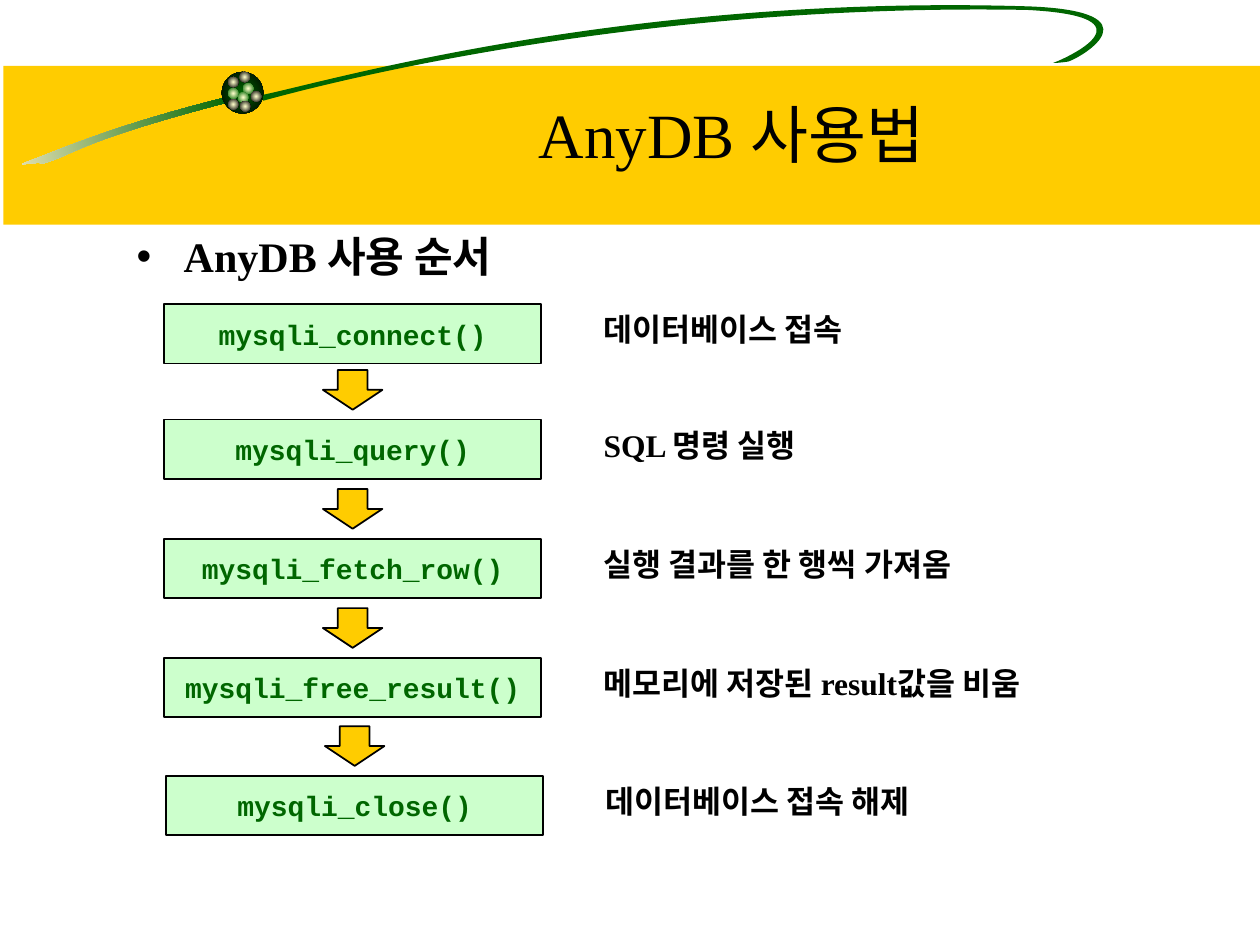
"""Build a slide listing the order of database calls."""
from dataclasses import dataclass
from math import cos, radians, sin

from lxml import etree
from pptx import Presentation
from pptx.dml.color import RGBColor
from pptx.enum.shapes import MSO_SHAPE
from pptx.enum.text import MSO_ANCHOR, MSO_AUTO_SIZE, PP_ALIGN
from pptx.oxml.ns import qn
from pptx.util import Cm, Pt

RECT, OVAL, DOWN = MSO_SHAPE.RECTANGLE, MSO_SHAPE.OVAL, MSO_SHAPE.DOWN_ARROW
MIDDLE, TOP = MSO_ANCHOR.MIDDLE, MSO_ANCHOR.TOP
CENTER, LEFT = PP_ALIGN.CENTER, PP_ALIGN.LEFT
GROW = MSO_AUTO_SIZE.SHAPE_TO_FIT_TEXT


@dataclass(frozen=True)
class Theme:
    gold: str = "FFCC00"
    sand: str = "F5EBC1"
    cream: str = "FFFFCC"
    mint: str = "CCFFCC"
    green: str = "006600"
    black: str = "000000"
    serif: str = "Times New Roman"
    mono: str = "Courier New"
    title: int = 36
    head: int = 24
    note: int = 18
    code: int = 16


theme = Theme()


def paint(shape, *colors, line=False, radial=False):
    shape.shadow.inherit = False
    if len(colors) == 1:
        shape.fill.solid()
        shape.fill.fore_color.rgb = RGBColor.from_string(colors[0])
    else:
        shape.fill.gradient()
        shape.fill.gradient_angle = 0
        for stop, color in zip(shape.fill.gradient_stops, colors):
            stop.color.rgb = RGBColor.from_string(color)
    if radial:
        grad = shape._element.spPr.find(qn("a:gradFill"))
        grad.remove(grad.find(qn("a:lin")))
        route = etree.SubElement(grad, qn("a:path"), path="circle")
        sides = dict.fromkeys("ltrb", "50000")
        etree.SubElement(route, qn("a:fillToRect"), **sides)
    if line:
        shape.line.color.rgb = RGBColor.from_string(theme.black)
        shape.line.width = Pt(1)
    else:
        shape.line.fill.background()


def write(frame, text, size, font, color, bold=True, align=LEFT, anchor=TOP):
    frame.vertical_anchor = anchor
    para = frame.paragraphs[0]
    para.alignment = align
    run = para.add_run()
    run.text = text
    run.font.size = Pt(size)
    run.font.name = font
    run.font.bold = bold
    run.font.color.rgb = RGBColor.from_string(color)
    return para


deck = Presentation()
deck.slide_width, deck.slide_height = Cm(25.4), Cm(19.05)
slide = deck.slides.add_slide(deck.slide_layouts[1])
shapes = slide.shapes
title, body = shapes.title, slide.placeholders[1]

band = shapes.add_shape(RECT, Cm(0.07), Cm(1.33), Cm(25.4), Cm(3.2))
paint(band, theme.gold)

tail = [(4.57, 1.96),
        (2.36, 2.51), (1.32, 2.97), (0.71, 3.2),
        (0.08, 3.43), (0.74, 3.23), (0.86, 3.3),
        (1.5, 3.12), (1.52, 2.87), (4.6, 2.06)]
swoosh = [(5.21, 1.93),
          (6.32, 1.73), (12.42, -0.13), (20.75, 0.13),
          (23.34, 0.23), (21.84, 1.14), (21.54, 1.24),
          (21.54, 1.24), (21.36, 1.27), (21.23, 1.27),
          (21.51, 1.17), (23.34, 0.33), (20.7, 0.2),
          (13.97, 0.08), (8.2, 1.24), (5.31, 2.03)]
tilt = radians(9)
for knots, box, colors in (
        (tail, (0, 2.31, 4.67, 0.76), (theme.sand, theme.green)),
        (swoosh, (5.18, -0.38, 18.19, 2.77), (theme.green,))):
    x, y, wide, high = box
    pen = shapes.build_freeform(Cm(x), Cm(y))
    pen.add_line_segments([(Cm(x + wide), Cm(y + high))])
    curve = pen.convert_to_shape()
    route = curve._element.spPr.find(".//" + qn("a:path"))
    for step in list(route):
        route.remove(step)
    for i, (across, down) in enumerate(knots):
        if i == 0:
            step = etree.SubElement(route, qn("a:moveTo"))
        elif i % 3 == 1:
            step = etree.SubElement(route, qn("a:cubicBezTo"))
        dx, dy = across - x - wide / 2, down - y - high / 2
        across = wide / 2 + dx * cos(tilt) - dy * sin(tilt)
        down = high / 2 + dx * sin(tilt) + dy * cos(tilt)
        etree.SubElement(step, qn("a:pt"), x=str(Cm(across)),
                         y=str(Cm(down)))
    etree.SubElement(route, qn("a:close"))
    curve.rotation = 351
    paint(curve, *colors)

orb = shapes.add_shape(OVAL, Cm(4.47), Cm(1.45), Cm(0.84), Cm(0.84))
paint(orb, theme.green, theme.black, radial=True)
beads = [(4.9, 1.68, theme.green), (4.6, 1.55, theme.black),
         (4.6, 1.78, theme.green), (4.8, 1.86, theme.green),
         (5.06, 1.84, theme.black), (4.84, 2.04, theme.black),
         (4.6, 2, theme.black), (4.83, 1.45, theme.black)]
for x, y, edge in beads:
    bead = shapes.add_shape(OVAL, Cm(x), Cm(y), Cm(0.21), Cm(0.21))
    paint(bead, theme.cream, edge, radial=True)

for holder, box in ((title, (4.09, 1.52, 21.31, 2.34)),
                    (body, (2.5, 4.52, 21.59, 13.54))):
    holder.left, holder.top, holder.width, holder.height = map(Cm, box)
    shapes._spTree.append(holder._element)
write(title.text_frame, "AnyDB 사용법", theme.title, theme.serif,
      theme.black, bold=False, align=CENTER, anchor=MIDDLE)
head = write(body.text_frame, "AnyDB 사용 순서", theme.head, theme.serif,
             theme.black)
props = head._p.get_or_add_pPr()
props.set("marL", str(Cm(0.95)))
props.set("indent", str(Cm(-0.95)))
etree.SubElement(props, qn("a:buChar"), char="•")

calls = [(3.31, 6.13, "mysqli_connect()", "데이터베이스 접속", 5.64),
         (3.31, 8.46, "mysqli_query()", "SQL 명령 실행", 4.6),
         (3.31, 10.86, "mysqli_fetch_row()", "실행 결과를 한 행씩 가져옴", 7.98),
         (3.31, 13.26, "mysqli_free_result()",
          "메모리에 저장된 result값을 비움", 9.5),
         (3.35, 15.64, "mysqli_close()", "데이터베이스 접속 해제", 7.04)]
for i, (x, y, code, text, wide) in enumerate(calls):
    box = shapes.add_shape(RECT, Cm(x), Cm(y), Cm(7.6), Cm(1.2))
    paint(box, theme.mint, line=True)
    write(box.text_frame, code, theme.code, theme.mono, theme.green,
          align=CENTER, anchor=MIDDLE)
    note = shapes.add_textbox(Cm(x + 8.61), Cm(y), Cm(wide), Cm(1.02))
    note.text_frame.word_wrap = False
    note.text_frame.auto_size = GROW
    write(note.text_frame, text, theme.note, theme.serif, theme.black)
    if i:
        arrow = shapes.add_shape(DOWN, Cm(x + 3.2), Cm(y - 1), Cm(1.2),
                                 Cm(0.8))
        paint(arrow, theme.gold, line=True)

deck.save("out.pptx")
